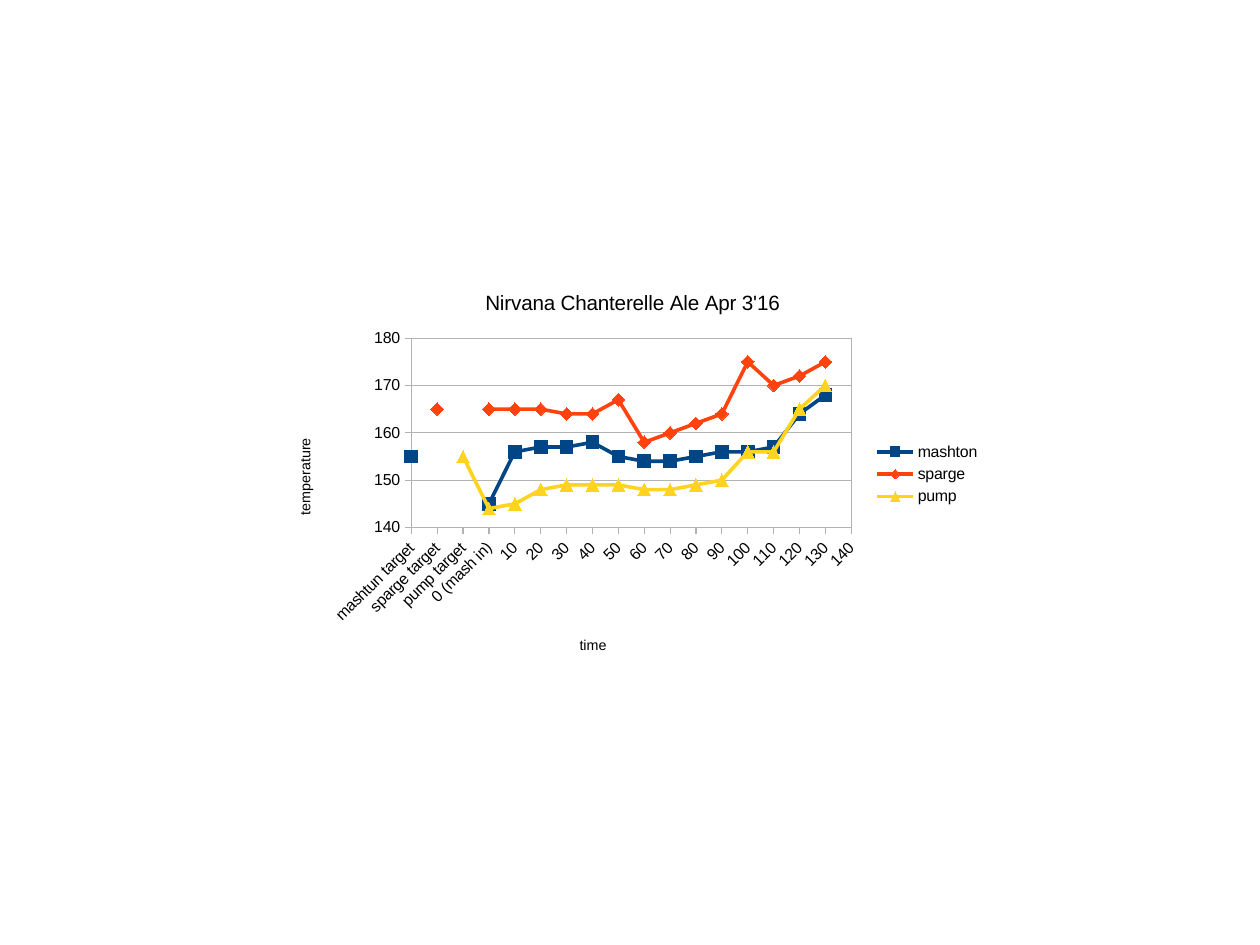
from lxml import etree
from pptx import Presentation
from pptx.chart.data import CategoryChartData
from pptx.dml.color import RGBColor
from pptx.enum.chart import XL_CHART_TYPE, XL_LEGEND_POSITION, XL_MARKER_STYLE, XL_TICK_MARK
from pptx.oxml import parse_xml
from pptx.oxml.ns import nsdecls, qn
from pptx.util import Cm, Pt

LINE_MARKERS = XL_CHART_TYPE.LINE_MARKERS
RIGHT = XL_LEGEND_POSITION.RIGHT
OUTSIDE = XL_TICK_MARK.OUTSIDE
NO_TICK = XL_TICK_MARK.NONE
SQUARE = XL_MARKER_STYLE.SQUARE
DIAMOND = XL_MARKER_STYLE.DIAMOND
TRIANGLE = XL_MARKER_STYLE.TRIANGLE

SLIDE_COLS, SLIDE_ROWS = 28, 21
CHART_COLS, CHART_ROWS = 160, 90
FONT = "Arial"
COLORS = {
    "text": "000000",
    "grid": "B3B3B3",
    "mashton": "004586",
    "sparge": "FF420E",
    "pump": "FFD320",
}
MARKERS = {"mashton": SQUARE, "sparge": DIAMOND, "pump": TRIANGLE}
TARGETS = ["mashtun target", "sparge target", "pump target"]
TIMES = ["0 (mash in)"] + [str(minute) for minute in range(10, 150, 10)]
READINGS = {
    "mashton": [155, None, None, 145, 156, 157, 157, 158, 155,
                154, 154, 155, 156, 156, 157, 164, 168, None],
    "sparge": [None, 165, None, 165, 165, 165, 164, 164, 167,
               158, 160, 162, 164, 175, 170, 172, 175, None],
    "pump": [None, None, 155, 144, 145, 148, 149, 149, 149,
             148, 148, 149, 150, 156, 156, 165, 170, None],
}


def rgb(name):
    return RGBColor.from_string(COLORS[name])


def format_font(font, size=10, color="text"):
    font.name = FONT
    font.size = Pt(size)
    font.bold = False
    font.color.rgb = rgb(color)


def format_line(line, color="grid", width=0):
    line.color.rgb = rgb(color)
    line.width = Pt(width)


def place(element, index, col, row, cols=None, rows=None):
    old = element.find(qn("c:layout"))
    if old is not None:
        element.remove(old)
    layout = parse_xml(f"<c:layout {nsdecls('c')}><c:manualLayout/></c:layout>")
    settings = [("xMode", "edge"), ("yMode", "edge"),
                ("x", col / CHART_COLS), ("y", row / CHART_ROWS)]
    if cols is not None:
        settings.insert(0, ("layoutTarget", "inner"))
        settings += [("w", cols / CHART_COLS), ("h", rows / CHART_ROWS)]
    for tag, value in settings:
        etree.SubElement(layout[0], qn(f"c:{tag}")).set("val", str(value))
    element.insert(index, layout)


def add_title(title, text, col, row, size=9, rotation=0):
    tf = title.text_frame
    tf.text = text
    format_font(tf.paragraphs[0].runs[0].font, size)
    body = tf._txBody.find(qn("a:bodyPr"))
    body.set("rot", str(rotation * 60000))
    body.set("vert", "horz")
    place(title._element, 1, col, row)


def format_axis(axis, rotation=0):
    axis.major_tick_mark = OUTSIDE
    axis.minor_tick_mark = NO_TICK
    format_line(axis.format.line)
    format_font(axis.tick_labels.font)
    body = axis._element.find(qn("c:txPr")).find(qn("a:bodyPr"))
    body.set("rot", str(rotation * 60000))


def format_value_axis(axis):
    format_axis(axis)
    axis.minimum_scale = 140
    axis.maximum_scale = 180
    axis.major_unit = 10
    axis.has_major_gridlines = True
    format_line(axis.major_gridlines.format.line)
    cross = axis._element.find(qn("c:crossBetween"))
    if cross is None:
        cross = parse_xml(f"<c:crossBetween {nsdecls('c')}/>")
        axis._element.find(qn("c:crosses")).addnext(cross)
    cross.set("val", "midCat")


def format_plot_area(chart):
    area = chart._chartSpace.chart.plotArea
    place(area, 0, 30.9, 14.65, 97.8, 42.1)
    area.append(parse_xml(
        f"<c:spPr {nsdecls('c', 'a')}><a:noFill/><a:ln w='0'><a:solidFill>"
        f"<a:srgbClr val='{COLORS['grid']}'/></a:solidFill></a:ln></c:spPr>"
    ))


def format_series(series):
    series.smooth = False
    format_line(series.format.line, series.name, 2.27)
    marker = series.marker
    marker.style = MARKERS[series.name]
    marker.size = 8
    marker.format.fill.solid()
    marker.format.fill.fore_color.rgb = rgb(series.name)
    format_line(marker.format.line, series.name)


def add_line_chart(prs, s, col, row, cols, rows):
    data = CategoryChartData()
    data.categories = TARGETS + TIMES
    for name, values in READINGS.items():
        data.add_series(name, values)
    unit_x = prs.slide_width / SLIDE_COLS
    unit_y = prs.slide_height / SLIDE_ROWS
    chart = s.shapes.add_chart(LINE_MARKERS, int(col * unit_x), int(row * unit_y),
                               int(cols * unit_x), int(rows * unit_y), data).chart
    format_font(chart.font)
    chart.plots[0].vary_by_categories = False
    for series in chart.plots[0].series:
        format_series(series)
    return chart


def add_legend(chart, col, row):
    chart.has_legend = True
    chart.legend.position = RIGHT
    chart.legend.include_in_layout = False
    format_font(chart.legend.font)
    place(chart.legend._element, 1, col, row)


def main():
    prs = Presentation()
    prs.slide_width = Cm(SLIDE_COLS)
    prs.slide_height = Cm(SLIDE_ROWS)
    s = prs.slides.add_slide(prs.slide_layouts[6])

    chart = add_line_chart(prs, s, 6.05, 6.05, 16, 9)
    time, temperature = chart.category_axis, chart.value_axis
    format_axis(time, rotation=-45)
    format_value_axis(temperature)
    format_plot_area(chart)
    add_legend(chart, 133.3, 36.9)
    add_title(chart.chart_title, "Nirvana Chanterelle Ale Apr 3'16", 46.5, 3.2, size=13)
    add_title(time.axis_title, "time", 67.7, 80.1)
    add_title(temperature.axis_title, "temperature", 4.6, 36.3, rotation=-90)

    prs.save("out.pptx")


if __name__ == "__main__":
    main()
